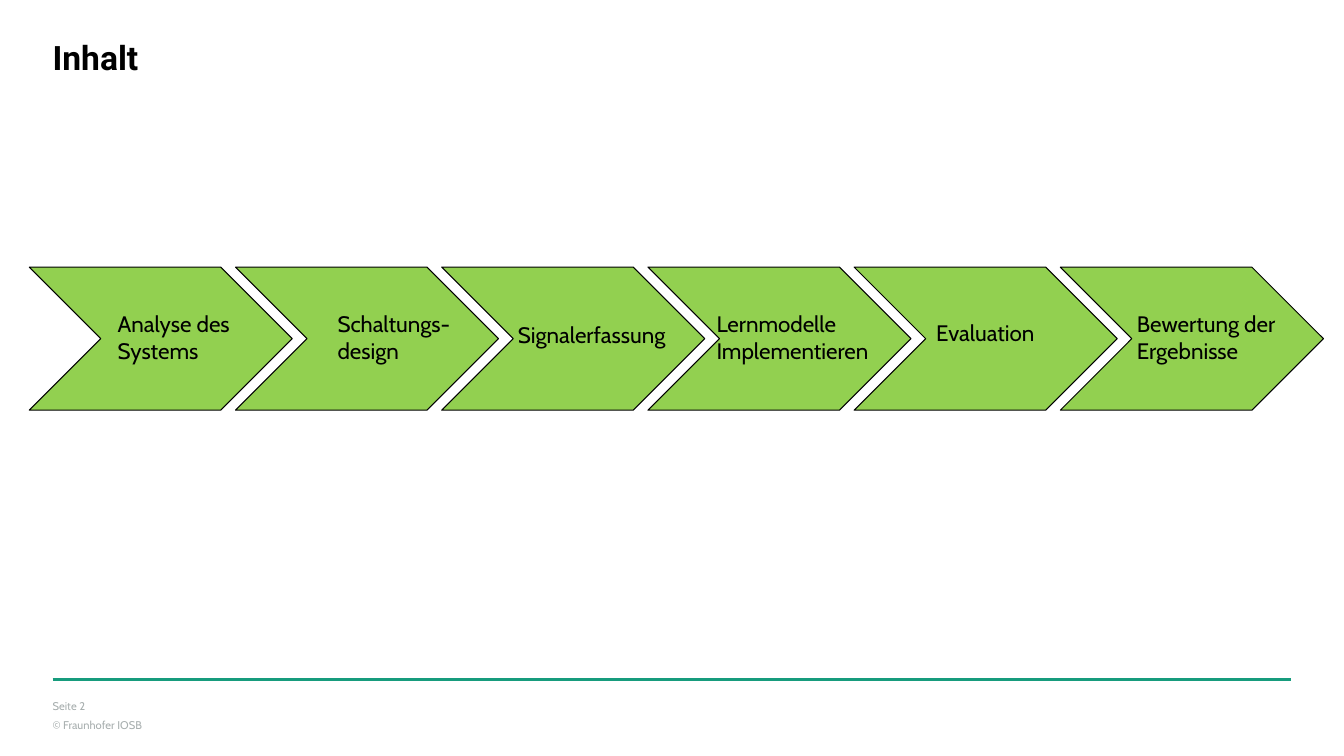
from dataclasses import dataclass

from lxml.etree import SubElement
from pptx import Presentation
from pptx.dml.color import RGBColor
from pptx.enum.shapes import MSO_CONNECTOR as Connector, MSO_SHAPE as Preset
from pptx.oxml.ns import qn
from pptx.slide import Slide
from pptx.util import Pt

BLACK = RGBColor(0x00, 0x00, 0x00)
GREEN = RGBColor(0x92, 0xD0, 0x50)
TEAL = RGBColor(0x17, 0x9C, 0x7D)
GREY = RGBColor(0xA8, 0xAF, 0xAF)

MARGIN = 37.6
CHEVRON_LEFT = 20.9
CHEVRON_PITCH = 147.3
CHEVRON_TOP = 190.8
CHEVRON_WIDTH = 187.9
CHEVRON_HEIGHT = 102.2


@dataclass(frozen=True)
class Step:
    label: str
    left: float
    width: float
    top: float = 218.2
    height: float = 46


STEPS = (
    Step("Analyse des Systems", 77, 124.6),
    Step("Schaltungs-design", 234, 104.4),
    Step("Signalerfassung", 362.9, 150.5, 226.1, 26.6),
    Step("Lernmodelle Implementieren", 504.7, 145.4),
    Step("Evaluation", 661.7, 120.2, 224.6, 26.6),
    Step("Bewertung der Ergebnisse", 805, 145.4),
)


def add_text(slide: Slide, text: str, *, left: float, top: float, width: float,
             height: float, size: float, font: str = "Cabin",
             color: RGBColor = BLACK, bold: bool = False,
             inset_x: float = 0, inset_y: float = 0, gap: float = 0) -> None:
    box = slide.shapes.add_textbox(Pt(left), Pt(top), Pt(width), Pt(height))
    frame = box.text_frame
    frame.word_wrap = True
    frame.margin_left = frame.margin_right = Pt(inset_x)
    frame.margin_top = frame.margin_bottom = Pt(inset_y)
    frame.text = text
    for index, paragraph in enumerate(frame.paragraphs):
        if index:
            paragraph.space_before = Pt(gap)
        paragraph.font.name = font
        paragraph.font.size = Pt(size)
        paragraph.font.bold = bold
        paragraph.font.color.rgb = color


def add_chevron(slide: Slide, left: float) -> None:
    chevron = slide.shapes.add_shape(Preset.CHEVRON, Pt(left), Pt(CHEVRON_TOP),
                                     Pt(CHEVRON_WIDTH), Pt(CHEVRON_HEIGHT))
    chevron.shadow.inherit = False
    chevron.fill.solid()
    chevron.fill.fore_color.rgb = GREEN
    chevron.line.color.rgb = BLACK
    chevron.line.width = Pt(0.75)


def add_step_label(slide: Slide, step: Step) -> None:
    add_text(slide, step.label, left=step.left, top=step.top, width=step.width,
             height=step.height, size=16, inset_x=7.2, inset_y=3.6)


def add_footer(slide: Slide) -> None:
    rule = slide.shapes.add_connector(Connector.STRAIGHT, Pt(MARGIN), Pt(485.3),
                                      Pt(922.3), Pt(485.3))
    rule.line.color.rgb = TEAL
    rule.line.width = Pt(2.5)
    SubElement(rule.line._get_or_add_ln().getparent(), qn("a:effectLst"))
    add_text(slide, "Seite 2\n© Fraunhofer IOSB", left=MARGIN, top=499.7,
             width=141.8, height=24.5, size=8, color=GREY, gap=4)


def main() -> None:
    presentation = Presentation()
    presentation.slide_width = Pt(960)
    presentation.slide_height = Pt(540)
    slide = presentation.slides.add_slide(presentation.slide_layouts[6])

    add_footer(slide)
    add_text(slide, "Inhalt", left=MARGIN, top=26.6, width=884.2, height=28.8,
             size=24, font="Roboto", bold=True)
    for position in range(len(STEPS)):
        add_chevron(slide, CHEVRON_LEFT + position * CHEVRON_PITCH)
    for step in STEPS:
        add_step_label(slide, step)

    presentation.save("out.pptx")


if __name__ == "__main__":
    main()
